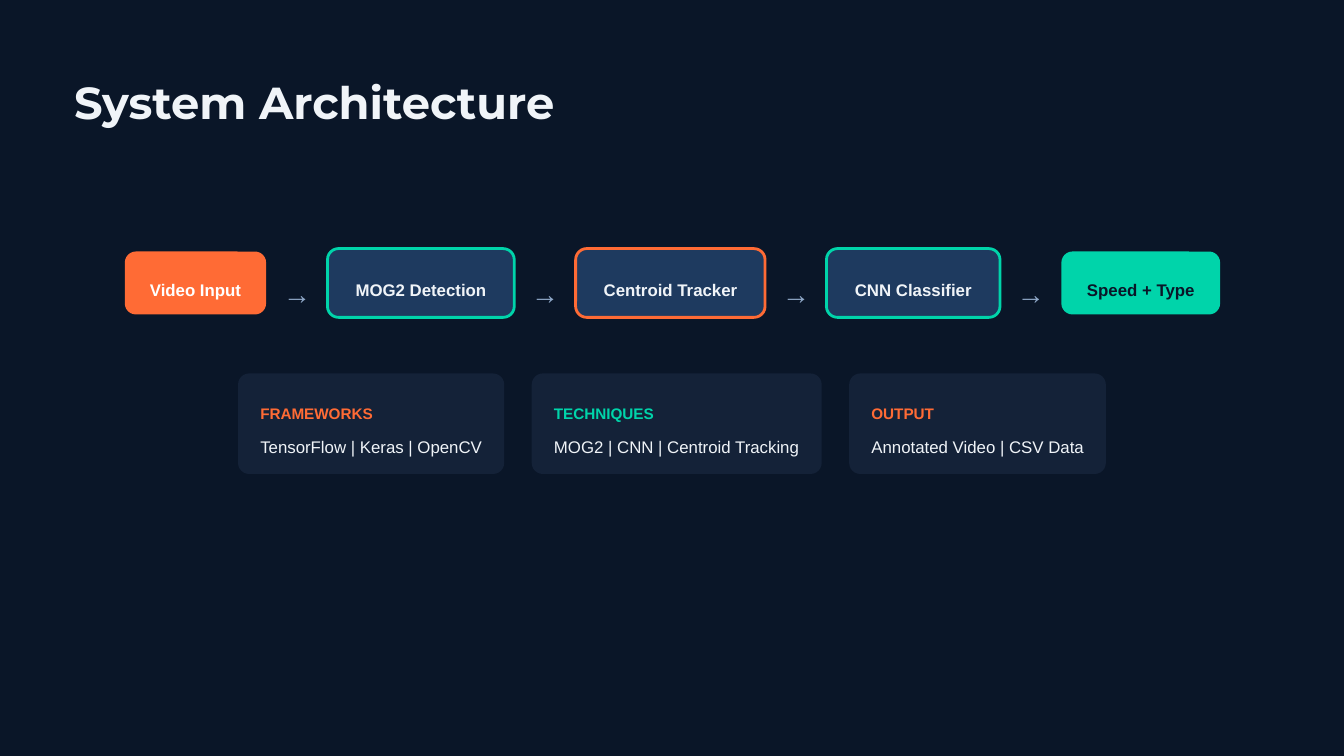
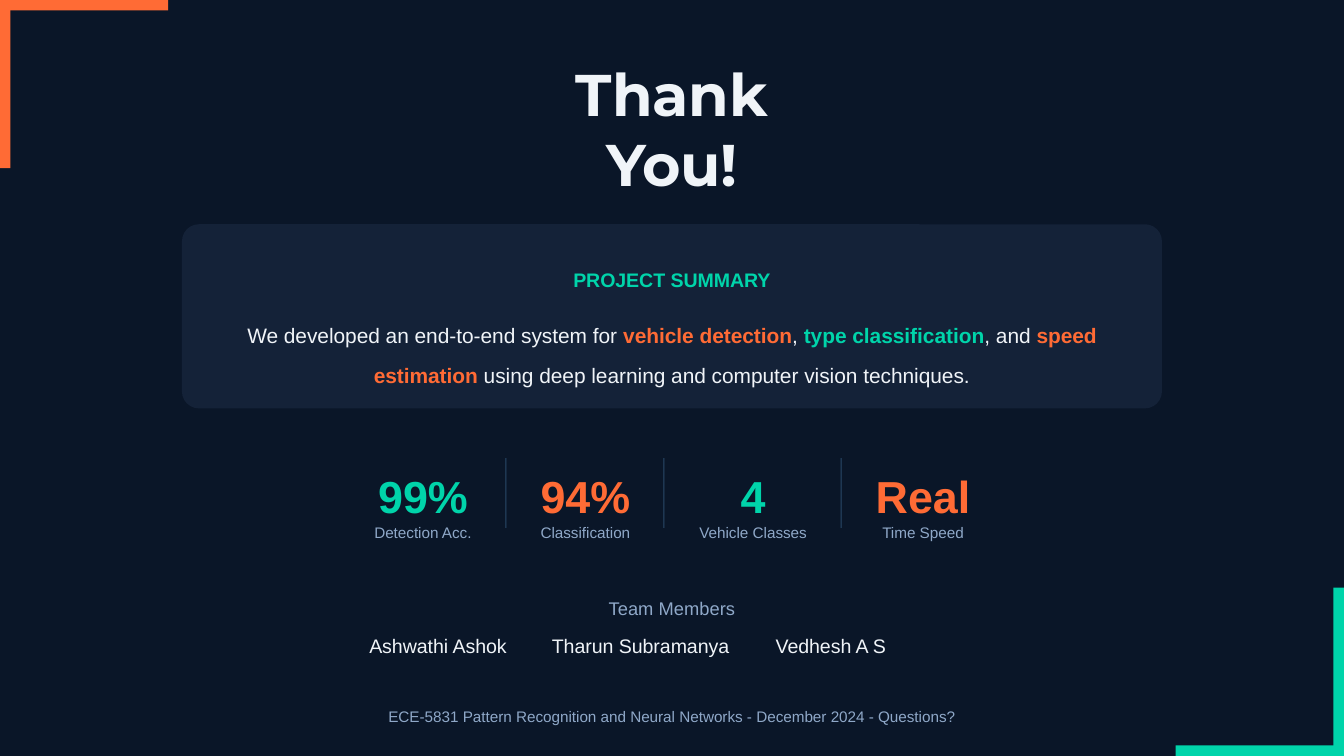
from pptx import Presentation
from pptx.dml.color import RGBColor
from pptx.enum.shapes import MSO_SHAPE as Shape
from pptx.enum.text import PP_ALIGN as Align
from pptx.util import Cm, Pt

# Shared palette and fonts
NAVY, CARD, STEEL, RULE = "0A1628", "142238", "1E3A5F", "2A4A6A"
ORANGE, TEAL = "FF6B35", "00D4AA"
WHITE, PALE, MUTED = "FFFFFF", "F0F4F8", "8FA8C8"
HEADING, BODY = "Montserrat", "Arial"
hex_color = RGBColor.from_string


def add_text(slide, text, left, top, width, height, size, color,
             bold=False, align=Align.LEFT, spacing=1.4, font=BODY):
    frame = slide.shapes.add_textbox(Cm(left), Cm(top), Cm(width), Cm(height)).text_frame
    frame.margin_left = frame.margin_right = frame.margin_top = frame.margin_bottom = 0
    frame.word_wrap = True
    frame.text = text
    paragraph = frame.paragraphs[0]
    paragraph.alignment = align
    paragraph.line_spacing = spacing
    style = paragraph.runs[0].font
    style.name, style.size, style.bold = font, Pt(size), bold
    style.color.rgb = hex_color(color)
    return paragraph


def add_block(slide, left, top, width, height, fill, radius=0, border=None):
    kind = Shape.ROUNDED_RECTANGLE if radius else Shape.RECTANGLE
    block = slide.shapes.add_shape(kind, Cm(left), Cm(top), Cm(width), Cm(height))
    block.shadow.inherit = False
    block.fill.solid()
    block.fill.fore_color.rgb = hex_color(fill)
    if radius:
        block.adjustments[0] = radius / height
    if border:
        block.line.color.rgb = hex_color(border)
        block.line.width = Pt(1.5)
    else:
        block.line.fill.background()


deck = Presentation()
deck.slide_width, deck.slide_height = Cm(25.4), Cm(14.29)
architecture, closing = [deck.slides.add_slide(deck.slide_layouts[6]) for _ in range(2)]
for slide in (architecture, closing):
    slide.background.fill.solid()
    slide.background.fill.fore_color.rgb = hex_color(NAVY)

# Slide 1: title
add_text(architecture, "System Architecture", 1.4, 1.42, 11.91, 0.84, 24, PALE,
         bold=True, spacing=None, font=HEADING)

# Pipeline stages, joined by arrows
stages = [
    ("Video Input", 2.67, ORANGE, None, WHITE),
    ("MOG2 Detection", 3.53, STEEL, TEAL, PALE),
    ("Centroid Tracker", 3.58, STEEL, ORANGE, PALE),
    ("CNN Classifier", 3.28, STEEL, TEAL, PALE),
    ("Speed + Type", 3.0, TEAL, None, NAVY),
]
stage_left, stage_middle, stage_gap = 2.36, 5.35, 1.16
for number, (stage, width, fill, border, color) in enumerate(stages):
    if number:
        add_text(architecture, "→", stage_left - 0.84, 4.98, 0.55, 0.74, 15, MUTED)
    height, inset = (1.3, 0.5) if border else (1.19, 0.46)
    add_block(architecture, stage_left, stage_middle - height / 2, width, height,
              fill, 0.21, border)
    add_text(architecture, stage, stage_left + inset, 5.13, width - 2 * inset, 0.43,
             9, color, bold=True, align=Align.CENTER)
    stage_left += width + stage_gap

# Detail cards
cards = [
    ("FRAMEWORKS", "TensorFlow | Keras | OpenCV", 5.03, ORANGE),
    ("TECHNIQUES", "MOG2 | CNN | Centroid Tracking", 5.48, TEAL),
    ("OUTPUT", "Annotated Video | CSV Data", 4.85, ORANGE),
]
card_left, card_gap = 4.5, 0.52
for topic, details, width, accent in cards:
    add_block(architecture, card_left, 7.06, width, 1.9, CARD, 0.21)
    add_text(architecture, topic, card_left + 0.42, 7.5, width - 0.76, 0.4,
             8.2, accent, bold=True)
    add_text(architecture, details, card_left + 0.42, 8.1, width - 0.76, 0.43, 9, PALE)
    card_left += width + card_gap

# Slide 2: corner brackets
arm, thick = 3.18, 0.2
add_block(closing, 0, 0, arm, thick, ORANGE)
add_block(closing, 0, 0, thick, arm, ORANGE)
add_block(closing, 25.4 - arm, 14.29 - thick, arm, thick, TEAL)
add_block(closing, 25.4 - thick, 14.29 - arm, thick, arm, TEAL)

add_text(closing, "Thank You!", 9.67, 1.09, 6.06, 1.12, 31.5, PALE,
         bold=True, align=Align.CENTER, spacing=None, font=HEADING)

# Project summary
add_block(closing, 3.44, 4.24, 18.52, 3.48, CARD, 0.32)
add_text(closing, "PROJECT SUMMARY", 4.11, 4.88, 17.18, 0.51, 10.5, TEAL,
         bold=True, align=Align.CENTER)
summary = add_text(closing, "We developed an end-to-end system for ", 4.11, 5.82,
                   17.18, 1.27, 11.2, PALE, align=Align.CENTER, spacing=1.6)
for phrase, color in [
    ("vehicle detection", ORANGE),
    (", ", PALE),
    ("type classification", TEAL),
    (", and ", PALE),
    ("speed estimation", ORANGE),
    (" using deep learning and computer vision techniques.", PALE),
]:
    run = summary.add_run()
    run.text = phrase
    run.font.name, run.font.size, run.font.bold = BODY, Pt(11.2), color != PALE
    run.font.color.rgb = hex_color(color)

# Key results, separated by thin rules
results = [
    ("99%", "Detection Acc.", 1.91, TEAL),
    ("94%", "Classification", 1.75, ORANGE),
    ("4", "Vehicle Classes", 2.11, TEAL),
    ("Real", "Time Speed", 1.83, ORANGE),
]
result_left, result_gap = 7.04, 1.24
for number, (value, label, width, color) in enumerate(results):
    if number:
        add_block(closing, result_left - 0.64, 8.66, 0.02, 1.32, RULE)
    add_text(closing, value, result_left, 8.46, width, 1.19, 24, color,
             bold=True, align=Align.CENTER)
    add_text(closing, label, result_left, 9.75, width, 0.4, 8.2, MUTED, align=Align.CENTER)
    result_left += width + result_gap

# Team
add_text(closing, "Team Members", 6.86, 11.13, 11.68, 0.48, 9.8, MUTED, align=Align.CENTER)
member_left, member_gap = 6.98, 0.78
for member, width in [("Ashwathi Ashok", 2.67), ("Tharun Subramanya", 3.45),
                      ("Vedhesh A S", 3.84)]:
    add_text(closing, member, member_left, 11.81, width, 0.51, 10.5, PALE)
    member_left += width + member_gap

# Course line
add_text(closing,
         "ECE-5831 Pattern Recognition and Neural Networks - December 2024 - Questions?",
         0.61, 13.23, 24.18, 0.4, 8.2, MUTED, align=Align.CENTER)

deck.save("out.pptx")
